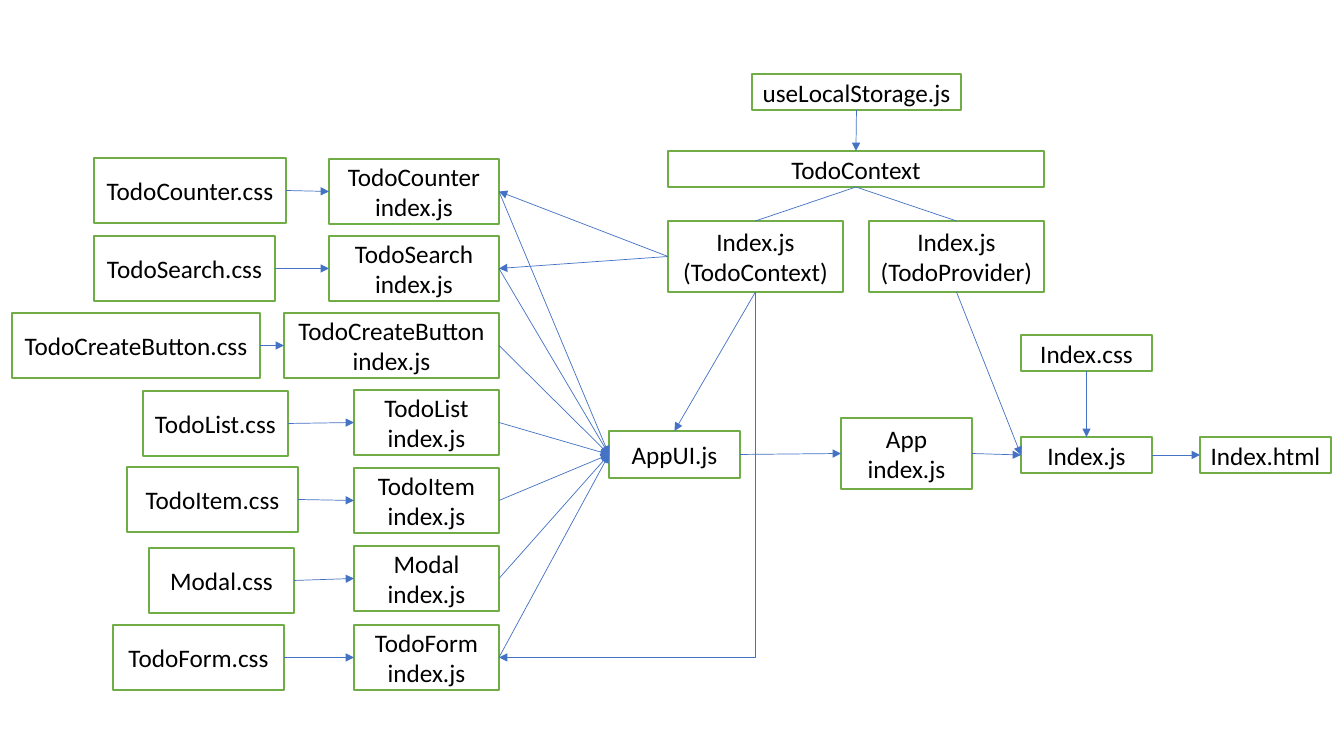
import collections
import pptx
import pptx.util
import pptx.dml.color
import pptx.enum.shapes
import pptx.enum.text
import pptx.oxml.ns
import lxml.etree

Box = collections.namedtuple("Box", "left top width height")
Theme = collections.namedtuple("Theme", "font text_size ink paper border arrow border_width arrow_width")

EMU_PER_PIXEL = 914400 / 100.8
TOP, LEFT, BOTTOM, RIGHT = range(4)  # connection sites of a rectangle


def colour(code):
    """Return an RGB colour from its hex code."""
    return pptx.dml.color.RGBColor.from_string(code)


THEME = Theme("Calibri", pptx.util.Pt(18), colour("000000"), colour("FFFFFF"), colour("70AD47"),
              colour("4472C4"), pptx.util.Pt(1), pptx.util.Pt(0.5))


def px(pixels):
    """Convert pixels to EMU."""
    return pptx.util.Emu(round(pixels * EMU_PER_PIXEL))


def add_file(page, region, place, *lines):
    """Draw a bordered file box at a place relative to its region."""
    box = page.shapes.add_shape(
        pptx.enum.shapes.MSO_SHAPE.RECTANGLE,
        px(region.left + place.left), px(region.top + place.top), px(place.width), px(place.height))
    box.shadow.inherit = False
    box.fill.solid()
    box.fill.fore_color.rgb = THEME.paper
    box.line.color.rgb = THEME.border
    box.line.width = THEME.border_width
    frame = box.text_frame
    frame.word_wrap = True
    frame.vertical_anchor = pptx.enum.text.MSO_ANCHOR.MIDDLE
    frame.margin_left = frame.margin_right = px(4)
    frame.text = "\n".join(lines)
    for para in frame.paragraphs:
        para.alignment = pptx.enum.text.PP_ALIGN.CENTER
        para.font.name = THEME.font
        para.font.size = THEME.text_size
        para.font.color.rgb = THEME.ink
    return box


def add_link(page, source, source_site, target, target_site, arrow=True):
    """Join two boxes with a straight line, by default ending in an arrow."""
    link = page.shapes.add_connector(pptx.enum.shapes.MSO_CONNECTOR.STRAIGHT, 0, 0, 0, 0)
    link.begin_connect(source, source_site)
    link.end_connect(target, target_site)
    link.line.color.rgb = THEME.arrow
    link.line.width = THEME.arrow_width
    if arrow:
        head = lxml.etree.SubElement(link.line._get_or_add_ln(), pptx.oxml.ns.qn("a:tailEnd"))
        head.set("type", "triangle")
    lxml.etree.SubElement(link._element.spPr, pptx.oxml.ns.qn("a:effectLst"))
    return link


def bend_down_left(link):
    """Turn a link into an elbow that runs down and then left."""
    across, down = link.width, link.height
    centre_x, centre_y = link.left + across // 2, link.top + down // 2
    properties = link._element.spPr
    properties.find(pptx.oxml.ns.qn("a:prstGeom")).set("prst", "bentConnector2")
    properties.xfrm.flipH = False
    properties.xfrm.set("rot", str(90 * 60000))
    link.left, link.top = centre_x - down // 2, centre_y - across // 2
    link.width, link.height = down, across


def add_components(page, region):
    """Draw each component with its stylesheet; return the component boxes by name."""
    rows = [  # name, stylesheet left, top and width, component top and width
        ("TodoCounter", 82, 0, 192, 1, 170),
        ("TodoSearch", 82, 78, 181, 78, 170),
        ("TodoCreateButton", 0, 155, 248, 155, 215),
        ("TodoList", 131, 233, 145, 232, 145),
        ("TodoItem", 115, 309, 171, 310, 145),
        ("Modal", 137, 390, 145, 388, 145),
        ("TodoForm", 101, 467, 171, 467, 145),
    ]
    height = 65
    components = {}
    for name, style_left, style_top, style_width, top, width in rows:
        style = add_file(page, region, Box(style_left, style_top, style_width, height), name + ".css")
        component = add_file(page, region, Box(region.width - width, top, width, height), name, "index.js")
        add_link(page, style, RIGHT, component, LEFT)
        components[name] = component
    return components


def add_context(page, region):
    """Draw the storage hook and context tree; return the context and provider boxes."""
    row, tall, half = 36, 71, 175
    storage = add_file(page, region, Box(84, 0, 209, row), "useLocalStorage.js")
    parent = add_file(page, region, Box(0, 77, region.width, row), "TodoContext")
    child_top = region.height - tall
    context = add_file(page, region, Box(0, child_top, half, tall), "Index.js", "(TodoContext)")
    provider = add_file(page, region, Box(region.width - half, child_top, half, tall),
                        "Index.js", "(TodoProvider)")
    add_link(page, storage, BOTTOM, parent, TOP)
    for child in (context, provider):
        add_link(page, parent, BOTTOM, child, TOP, arrow=False)
    return context, provider


def add_app(page, region):
    """Draw the chain from interface to web page; return the interface and entry boxes."""
    width, row = 131, 36
    interface = add_file(page, region, Box(0, 96, width, 47), "AppUI.js")
    app = add_file(page, region, Box(232, 83, width, 71), "App", "index.js")
    entry = add_file(page, region, Box(412, 102, width, row), "Index.js")
    html = add_file(page, region, Box(region.width - width, 102, width, row), "Index.html")
    style = add_file(page, region, Box(412, 0, width, row), "Index.css")
    for source, target in ((interface, app), (app, entry), (entry, html)):
        add_link(page, source, RIGHT, target, LEFT)
    add_link(page, style, BOTTOM, entry, TOP)
    return interface, entry


def add_diagram(page):
    """Place the three regions and the links between them."""
    components = add_components(page, Box(12, 158, 487, 532))
    context, provider = add_context(page, Box(668, 74, 376, 218))
    interface, entry = add_app(page, Box(609, 335, 722, 154))
    for component in components.values():
        add_link(page, component, RIGHT, interface, LEFT)
    for name in ("TodoCounter", "TodoSearch"):
        add_link(page, context, LEFT, components[name], RIGHT)
    add_link(page, context, BOTTOM, interface, TOP)
    add_link(page, provider, BOTTOM, entry, LEFT)
    bend_down_left(add_link(page, context, BOTTOM, components["TodoForm"], RIGHT))


deck = pptx.Presentation()
deck.slide_width, deck.slide_height = px(1344), px(756)
blank_layout = deck.slide_layouts[6]
add_diagram(deck.slides.add_slide(blank_layout))
deck.save("out.pptx")
